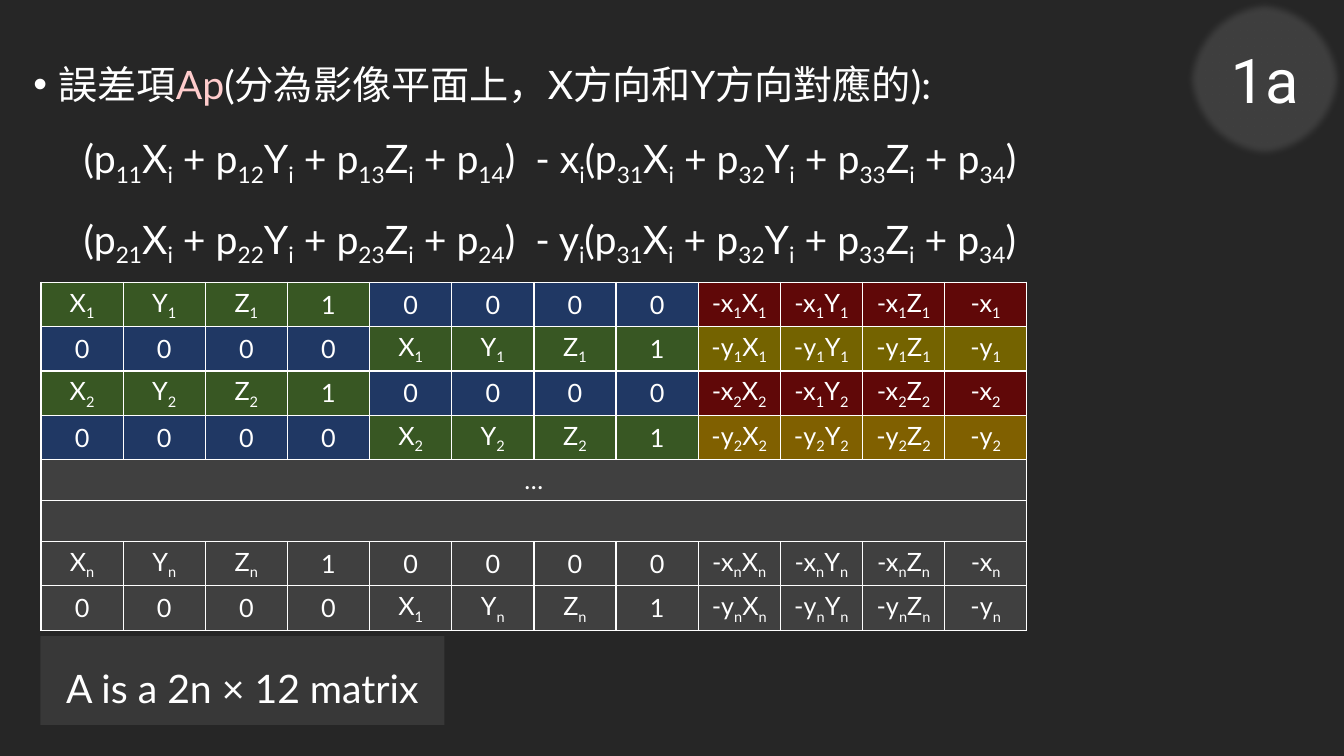
from dataclasses import dataclass

import pptx
import pptx.dml.color
import pptx.enum.shapes
import pptx.enum.text
import pptx.oxml
import pptx.oxml.ns
import pptx.util

Pt = pptx.util.Pt
ALIGN = pptx.enum.text.PP_ALIGN
ANCHOR = pptx.enum.text.MSO_ANCHOR
NS = pptx.oxml.ns.nsdecls("a")


@dataclass(frozen=True)
class Theme:
    """Colours, fonts and type sizes of the slide."""
    background: str = "262626"
    text: str = "FFFFFF"
    accent: str = "FFCCCC"
    neutral: str = "404040"
    note: str = "808080"
    coordinate: str = "385723"
    zero: str = "203864"
    x_product: str = "600808"
    y_products: tuple = ("746300", "806000")
    font: str = "Lato"
    badge_font: str = "Roboto"
    cell_size: int = 18
    body_size: int = 28
    badge_size: int = 44


THEME = Theme()


def paint(fill, color):
    """Give a fill one solid colour."""
    fill.solid()
    fill.fore_color.rgb = pptx.dml.color.RGBColor.from_string(color)


def write(paragraph, text, size, color=THEME.text, font=THEME.font):
    """Add runs to a paragraph, lowering the parts between underscores."""
    for index, part in enumerate(text.split("_")):
        if not part:
            continue
        run = paragraph.add_run()
        run.text = part
        run.font.size = Pt(size)
        run.font.name = font
        paint(run.font.fill, color)
        if index % 2:
            run.font._element.set("baseline", "-25000")


def place(shape, box):
    """Move a shape to a box of left, top, width and height in points."""
    shape.left, shape.top, shape.width, shape.height = map(Pt, box)


def body_paragraph(body, box, bullet, indent):
    """Place a body placeholder and return its formatted first paragraph."""
    place(body, box)
    frame = body.text_frame
    frame.word_wrap = True
    frame.auto_size = pptx.enum.text.MSO_AUTO_SIZE.NONE
    paragraph = frame.paragraphs[0]
    paragraph.line_spacing = 1.5
    paragraph.space_before = Pt(10)
    properties = paragraph._p.get_or_add_pPr()
    properties.set("marL", str(Pt(indent)))
    properties.set("indent", str(Pt(-indent)))
    properties.append(pptx.oxml.parse_xml(bullet))
    return paragraph


def equation(row, image_axis):
    """Return the error term that one image axis contributes."""
    first, third = (
        f"(p_{r}1_X_i_ + p_{r}2_Y_i_ + p_{r}3_Z_i_ + p_{r}4_)" for r in (row, 3))
    return f"\t{first}  - {image_axis}_i_{third}"


def error_terms(body, box):
    """Write the heading and the two error equations."""
    paragraph = body_paragraph(body, box, f'<a:buChar {NS} char="•"/>', 18)
    write(paragraph, "誤差項", THEME.body_size)
    write(paragraph, "Ap", THEME.body_size, THEME.accent)
    write(paragraph, "(分為影像平面上，X方向和Y方向對應的): ", THEME.body_size)
    for row, image_axis in ((1, "x"), (2, "y")):
        paragraph.add_line_break()
        write(paragraph, equation(row, image_axis), THEME.body_size)


def size_note(body, box):
    """Write the size of the matrix on a translucent panel."""
    paint(body.fill, THEME.note)
    color = body.fill._xPr.find(".//" + pptx.oxml.ns.qn("a:srgbClr"))
    color.append(pptx.oxml.parse_xml(f'<a:alpha {NS} val="20000"/>'))
    paragraph = body_paragraph(body, box, f"<a:buNone {NS}/>", 0)
    paragraph.alignment = ALIGN.CENTER
    write(paragraph, "A is a 2n × 12 matrix", THEME.body_size)


def matrix_row(point, axis, product_color):
    """Return the twelve text and colour pairs of one matrix row."""
    coordinates = [(f"{name}_{point}_", THEME.coordinate) for name in "XYZ"]
    coordinates.append(("1", THEME.coordinate))
    zeros = [("0", THEME.zero)] * 4
    factor = f"-{axis}_{point}_"
    products = [(factor + f"{name}_{point}_", product_color) for name in "XYZ"]
    products.append((factor, product_color))
    halves = coordinates + zeros if axis == "x" else zeros + coordinates
    return halves + products


def fill_cell(cell, text, color):
    """Format one matrix cell with thin borders and centred text."""
    properties = cell._tc.get_or_add_tcPr()
    for side in ("lnL", "lnR", "lnT", "lnB"):
        properties.append(pptx.oxml.parse_xml(
            f'<a:{side} {NS} w="12700"><a:solidFill><a:srgbClr val="{THEME.text}"/>'
            f'</a:solidFill></a:{side}>'))
    paint(cell.fill, color)
    cell.vertical_anchor = ANCHOR.MIDDLE
    paragraph = cell.text_frame.paragraphs[0]
    paragraph.alignment = ALIGN.CENTER
    write(paragraph, text, THEME.cell_size)


def matrix(slide, box):
    """Build the coefficient matrix table."""
    first_y, second_y = THEME.y_products
    rows = [
        matrix_row("1", "x", THEME.x_product),
        matrix_row("1", "y", first_y),
        matrix_row("2", "x", THEME.x_product),
        matrix_row("2", "y", second_y),
        [("…", THEME.neutral)] + [("", THEME.neutral)] * 11,
        [("", THEME.neutral)] * 12,
    ]
    for axis in "xy":
        last = matrix_row("n", axis, THEME.neutral)
        rows.append([(text, THEME.neutral) for text, _ in last])
    rows[2][9] = ("-x_1_Y_2_", THEME.x_product)
    rows[7][4] = ("X_1_", THEME.neutral)

    table = slide.shapes.add_table(len(rows), 12, *map(Pt, box)).table
    table.first_row = table.horz_banding = False
    for column in table.columns:
        column.width = Pt(box[2] / 12)
    for row_index, row in enumerate(rows):
        table.rows[row_index].height = Pt(box[3] / len(rows))
        for column_index, (text, color) in enumerate(row):
            fill_cell(table.cell(row_index, column_index), text, color)
    for gap in (4, 5):
        table.cell(gap, 0).merge(table.cell(gap, 11))


def step_badge(slide, box):
    """Draw the soft-edged circle with the step label."""
    badge = slide.shapes.add_shape(pptx.enum.shapes.MSO_SHAPE.OVAL, *map(Pt, box))
    badge.shadow.inherit = False
    effects = badge._element.spPr.find(pptx.oxml.ns.qn("a:effectLst"))
    effects.append(pptx.oxml.parse_xml(f'<a:softEdge {NS} rad="63500"/>'))
    paint(badge.fill, THEME.neutral)
    badge.line.fill.background()
    badge.text_frame.vertical_anchor = ANCHOR.MIDDLE
    paragraph = badge.text_frame.paragraphs[0]
    paragraph.alignment = ALIGN.CENTER
    write(paragraph, "1a", THEME.badge_size, font=THEME.badge_font)


def matrix_slide(deck):
    """Compose the slide from its four regions."""
    slide = deck.slides.add_slide(deck.slide_layouts[3])
    paint(slide.background.fill, THEME.background)
    title = slide.shapes.title._element
    title.getparent().remove(title)
    note, terms = slide.placeholders
    size_note(note, (28.8, 454.3, 288.7, 63.4))
    matrix(slide, (29.3, 201.6, 704.16, 233.6))
    error_terms(terms, (16.6, 23, 931, 178.6))
    step_badge(slide, (846.9, 0, 113, 113))


def main():
    """Build and save the deck."""
    deck = pptx.Presentation()
    deck.slide_width, deck.slide_height = Pt(960), Pt(540)
    matrix_slide(deck)
    deck.save("out.pptx")


if __name__ == "__main__":
    main()
